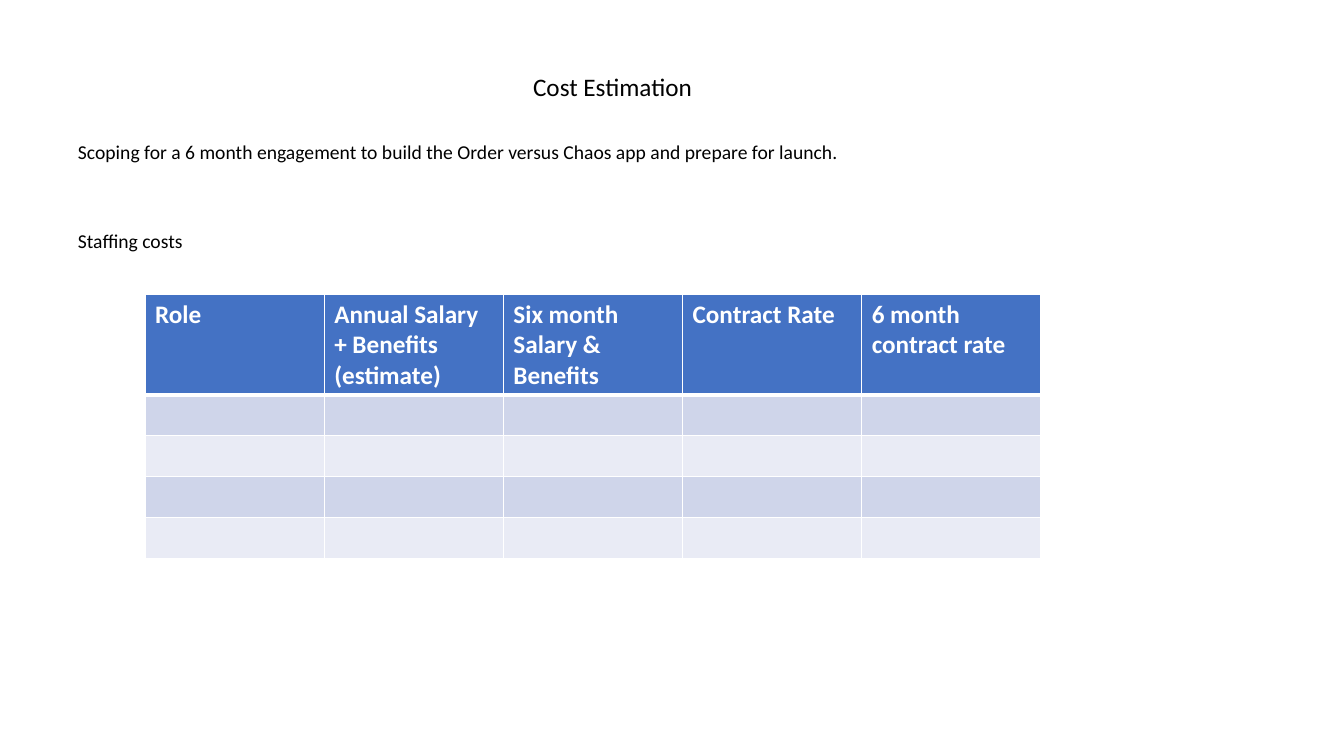
from lxml import etree
from pptx import Presentation
from pptx import util as u
from pptx.dml.color import RGBColor
from pptx.enum import text
from pptx.oxml import ns

SCALE = 914400 / 100.8
FONT = "Calibri"
BLACK = RGBColor(0x00, 0x00, 0x00)
WHITE = RGBColor(0xFF, 0xFF, 0xFF)
HEADER_BLUE = RGBColor(0x44, 0x72, 0xC4)
BANDS = (RGBColor(0xCF, 0xD5, 0xEA), RGBColor(0xE9, 0xEB, 0xF5))
HEADINGS = ("Role", "Annual Salary + Benefits (estimate) ", "Six month Salary & Benefits",
            "Contract Rate", "6 month contract rate")


def px(length):
    """Turn pixels into EMU."""
    return u.Emu(round(length * SCALE))


class CostSlide:
    """Hold the slide and its text and table style."""

    def __init__(self, deck):
        """Add a title-only slide to the deck."""
        self.slide = deck.slides.add_slide(deck.slide_layouts[5])

    def letter(self, frame, wording, size, color=BLACK, bold=False):
        """Set wording and format its run."""
        frame.text = wording
        paragraph = frame.paragraphs[0]
        paragraph.alignment = text.PP_ALIGN.LEFT
        font = paragraph.runs[0].font
        font.name, font.size, font.bold = FONT, u.Pt(size), bold
        font.color.rgb = color

    def fit(self, frame):
        """Keep the text on one line at the top of its box."""
        frame.word_wrap = False
        frame.auto_size = text.MSO_AUTO_SIZE.SHAPE_TO_FIT_TEXT
        frame.vertical_anchor = text.MSO_ANCHOR.TOP

    def title(self, wording, left, top, width, height):
        """Place and fill the title placeholder."""
        heading = self.slide.shapes.title
        heading.left, heading.top = px(left), px(top)
        heading.width, heading.height = px(width), px(height)
        self.letter(heading.text_frame, wording, 18)
        self.fit(heading.text_frame)

    def line(self, wording, left, top, width, height):
        """Add one line of body text."""
        box = self.slide.shapes.add_textbox(px(left), px(top), px(width), px(height))
        self.letter(box.text_frame, wording, 14)
        self.fit(box.text_frame)

    def border(self, cell, side, points):
        """Draw a white border on one side of a cell."""
        edge = etree.SubElement(cell._tc.get_or_add_tcPr(), ns.qn(f"a:ln{side}"),
                                w=str(u.Pt(points)))
        fill = etree.SubElement(edge, ns.qn("a:solidFill"))
        etree.SubElement(fill, ns.qn("a:srgbClr"), val=str(WHITE))

    def table(self, headings, heights, left, top, width):
        """Add a table with a header row and empty banded rows."""
        grid = self.slide.shapes.add_table(
            len(heights), len(headings), px(left), px(top), px(width), px(sum(heights))).table
        for column in grid.columns:
            column.width = px(width / len(headings))
        for index, height in enumerate(heights):
            grid.rows[index].height = px(height)
            for number, heading in enumerate(headings):
                cell = grid.cell(index, number)
                for side in "LRTB":
                    heavy = (index, side) in ((0, "B"), (1, "T"))
                    self.border(cell, side, 3 if heavy else 1)
                cell.fill.solid()
                cell.fill.fore_color.rgb = BANDS[(index - 1) % 2] if index else HEADER_BLUE
                if index == 0:
                    self.letter(cell.text_frame, heading, 18, WHITE, True)


deck = Presentation()
deck.slide_width, deck.slide_height = px(1344), px(756)
costs = CostSlide(deck)
costs.title("Cost Estimation", 523, 66, 181, 40)
costs.line("Scoping for a 6 month engagement to build the Order versus Chaos app "
           "and prepare for launch.", 68, 135, 782, 34)
costs.line("Staffing costs", 68, 224, 127, 34)
costs.table(HEADINGS, [100] + [41] * 4, 145, 294, 896)
deck.save("out.pptx")
